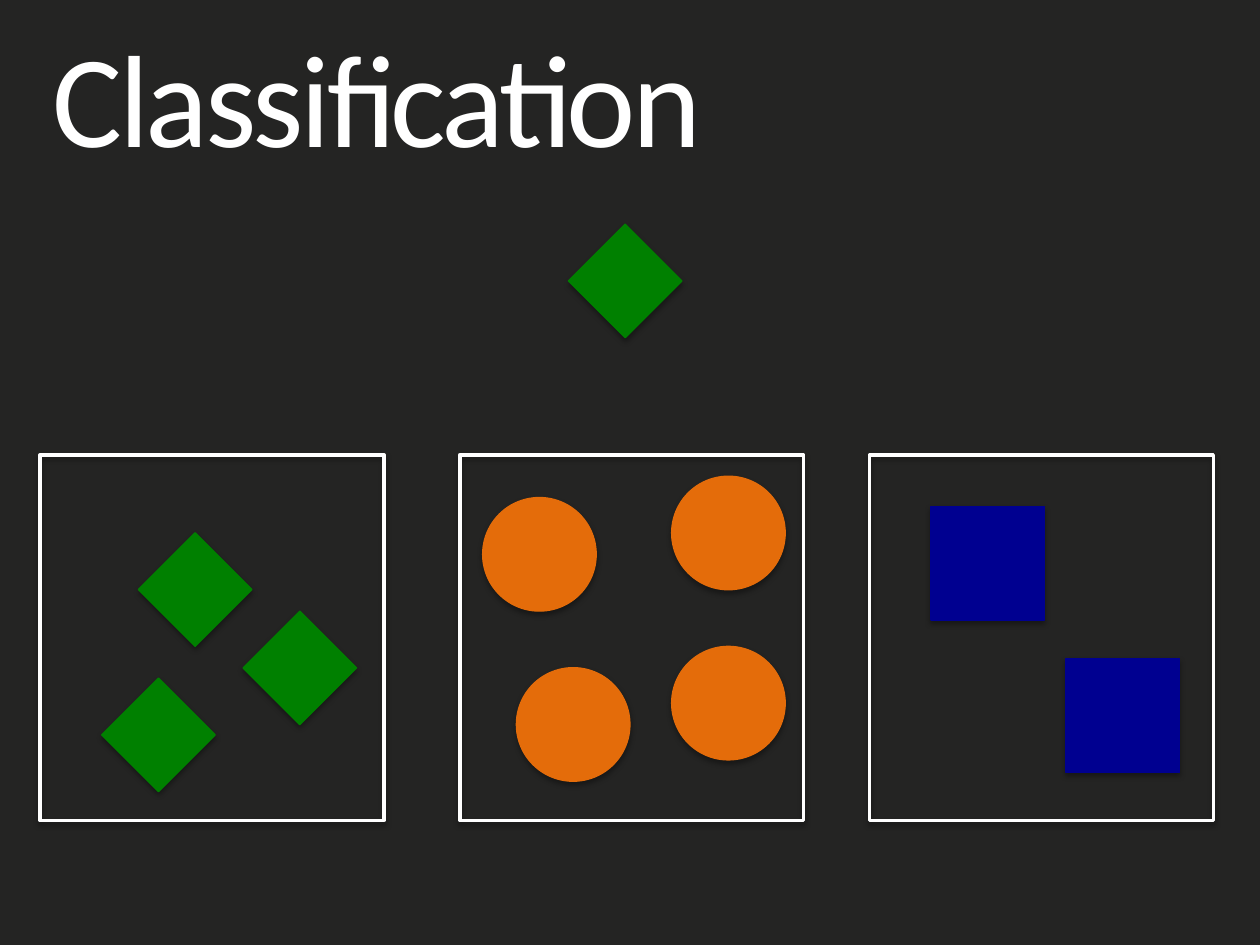
from lxml import etree
from pptx import Presentation
from pptx.dml.color import RGBColor
from pptx.enum.shapes import MSO_SHAPE
from pptx.enum.text import MSO_ANCHOR, MSO_AUTO_SIZE, PP_ALIGN
from pptx.oxml.ns import qn
from pptx.util import Cm, Pt

DIAMOND, CIRCLE, SQUARE = MSO_SHAPE.DIAMOND, MSO_SHAPE.OVAL, MSO_SHAPE.RECTANGLE
TITLE_ONLY = 5
COLORS = {
    "background": "242423",
    "white": "FFFFFF",
    "shadow": "000000",
    DIAMOND: "008000",
    CIRCLE: "E46C0A",
    SQUARE: "000090",
}
ITEM = 2.29
PANEL_TOP, PANEL_W, PANEL_H = 9.17, 6.93, 7.37
PANELS = [
    (0.81, DIAMOND, [(1.98, 1.57), (1.24, 4.5), (4.09, 3.15)]),
    (9.27, CIRCLE, [(1.14, 4.29), (0.46, 0.86), (4.27, 0.43), (4.27, 3.86)]),
    (17.53, SQUARE, [(1.24, 1.04), (3.96, 4.11)]),
]


def rgb(name):
    """Return the named colour."""
    return RGBColor.from_string(COLORS[name])


def add_shadow(sp):
    """Give a shape a soft shadow straight below it."""
    sp.shadow.inherit = False
    effects = sp._element.spPr.find(qn("a:effectLst"))
    shadow = etree.SubElement(effects, qn("a:outerShdw"), blurRad="40000",
                              dist="23000", dir="5400000", rotWithShape="0")
    color = etree.SubElement(shadow, qn("a:srgbClr"), val=COLORS["shadow"])
    etree.SubElement(color, qn("a:alpha"), val="35000")


def add_item(shapes, kind, x, y):
    """Add one item in the colour of its class."""
    sp = shapes.add_shape(kind, Cm(x), Cm(y), Cm(ITEM), Cm(ITEM))
    sp.fill.solid()
    sp.fill.fore_color.rgb = rgb(kind)
    sp.line.color.rgb = rgb(kind)
    sp.line.width = Pt(0.75)
    add_shadow(sp)


def add_panel(s, x, y, w, h, kind, offsets):
    """Add a framed class with its items placed relative to the frame."""
    shapes = s.shapes.add_group_shape().shapes
    frame = shapes.add_shape(SQUARE, Cm(x), Cm(y), Cm(w), Cm(h))
    frame.fill.background()
    frame.line.color.rgb = rgb("white")
    frame.line.width = Pt(2)
    add_shadow(frame)
    for dx, dy in offsets:
        add_item(shapes, kind, x + dx, y + dy)


def set_title(s, text, x, y, w, h):
    """Place and format the title placeholder."""
    sp = s.shapes.title
    sp.left, sp.top, sp.width, sp.height = Cm(x), Cm(y), Cm(w), Cm(h)
    tf = sp.text_frame
    tf.word_wrap = True
    tf.auto_size = MSO_AUTO_SIZE.SHAPE_TO_FIT_TEXT
    tf.vertical_anchor = MSO_ANCHOR.MIDDLE
    p = tf.paragraphs[0]
    p.alignment = PP_ALIGN.LEFT
    r = p.add_run()
    r.text = text
    r.font.name = "Calibri"
    r.font.size = Pt(75)
    r.font.color.rgb = rgb("white")
    r.font._element.set("spc", "-200")


def main():
    """Build the classification slide."""
    prs = Presentation()
    prs.slide_width, prs.slide_height = Cm(25.4), Cm(19.05)
    s = prs.slides.add_slide(prs.slide_layouts[TITLE_ONLY])
    s.background.fill.solid()
    s.background.fill.fore_color.rgb = rgb("background")
    set_title(s, "Classification", 0.81, 0.2, 24.05, 3.45)
    add_item(s.shapes, DIAMOND, 11.46, 4.52)
    for x, kind, offsets in PANELS:
        add_panel(s, x, PANEL_TOP, PANEL_W, PANEL_H, kind, offsets)
    prs.save("out.pptx")


if __name__ == "__main__":
    main()
